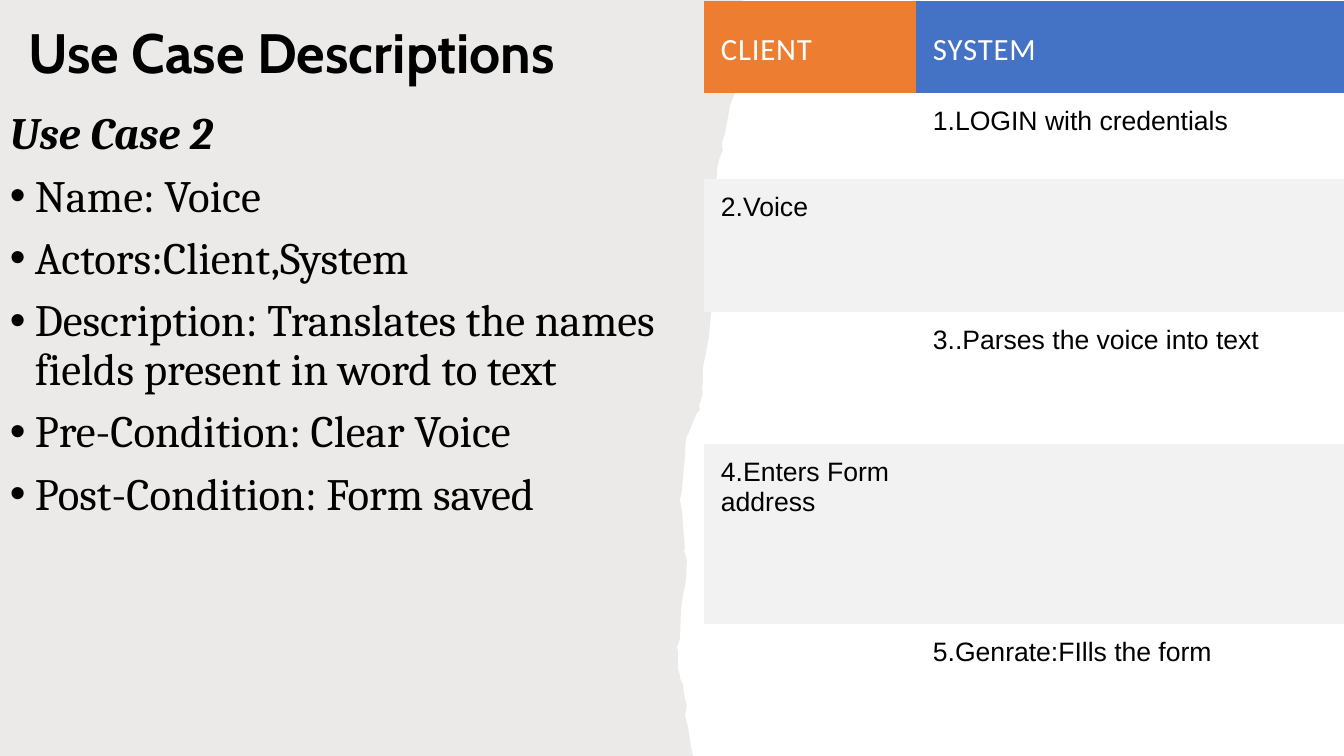
import pptx
import pptx.util
import pptx.dml.color
import pptx.enum.text
import pptx.oxml.ns
import lxml.etree

EMU_PER_PIXEL = 914400 / 100.8
LEFT = pptx.enum.text.PP_ALIGN.LEFT
MIDDLE = pptx.enum.text.MSO_ANCHOR.MIDDLE
TOP = pptx.enum.text.MSO_ANCHOR.TOP
NO_AUTOFIT = pptx.enum.text.MSO_AUTO_SIZE.NONE
NO_GRID_STYLE = "{2D5ABB26-0587-4C30-8999-92F81FD0307C}"

TORN_EDGE = [
    (743, 0), (743, 3), (741, 34), (742, 49), (739, 71), (738, 75), (735, 93),
    (730, 106), (727, 123), (726, 128), (725, 134), (722, 143), (722, 146),
    (723, 150), (720, 157), (717, 169), (717, 176), (715, 187), (717, 200),
    (716, 223), (716, 236), (714, 240), (713, 256), (713, 270), (712, 277),
    (714, 284), (711, 294), (713, 294), (711, 301), (712, 304), (709, 337),
    (703, 368), (703, 381), (702, 389), (703, 394), (700, 403), (699, 406),
    (700, 410), (697, 413), (689, 432), (686, 439), (685, 457), (683, 477),
    (682, 491), (680, 500), (682, 511), (683, 525), (685, 548), (684, 550),
    (687, 560), (686, 581), (683, 595), (681, 611), (680, 638), (678, 645),
    (677, 647), (678, 651), (678, 669), (680, 675), (680, 678), (683, 685),
    (684, 694), (687, 706), (685, 715), (688, 727), (691, 746), (693, 756),
]
USE_CASE_DETAILS = [
    "Name: Voice",
    "Actors:Client,System",
    "Description: Translates the names fields\u00a0present in word to text",
    "Pre-Condition: Clear Voice",
    "Post-Condition: Form saved",
]
STEPS = [
    ("CLIENT", "SYSTEM"),
    ("", "1.LOGIN with credentials"),
    ("2.Voice", ""),
    ("", "3..Parses the voice into text"),
    ("4.Enters Form address", ""),
    ("", "5.Genrate:FIlls the form"),
]
COLUMN_WIDTHS = [212, 433]
ROW_HEIGHTS = [92, 86, 133, 132, 180, 132]
HEADER_FILLS = ["ED7D31", "4472C4"]


def px(pixels):
    return pptx.util.Emu(round(pixels * EMU_PER_PIXEL))


def color(code):
    return pptx.dml.color.RGBColor.from_string(code)


def apply(target, formats):
    for key, value in formats.items():
        setattr(target, key, value)


def write(paragraph, text, size, font, ink="000000", **formats):
    run = paragraph.add_run()
    run.text = text
    apply(run.font, {"size": pptx.util.Pt(size), "name": font, **formats})
    run.font.color.rgb = color(ink)
    return run


def place(shape, box):
    apply(shape, dict(zip(("left", "top", "width", "height"), map(px, box))))


def add_torn_paper(slide, box):
    left, top, width, height = box
    builder = slide.shapes.build_freeform(0, 0, scale=EMU_PER_PIXEL)
    builder.add_line_segments(TORN_EDGE + [(0, height)], close=True)
    paper = builder.convert_to_shape(px(left), px(top))
    paper.shadow.inherit = False
    paper.line.fill.background()
    paper.fill.solid()
    paper.fill.fore_color.rgb = color("82766A")
    tint = next(paper.element.iter(pptx.oxml.ns.qn("a:srgbClr")))
    lxml.etree.SubElement(tint, pptx.oxml.ns.qn("a:alpha"), val="15000")
    slide.shapes.title.element.addprevious(paper.element)


def add_heading(slide, box):
    heading = slide.shapes.title
    place(heading, box)
    apply(heading.text_frame, {"word_wrap": True, "auto_size": NO_AUTOFIT,
                               "vertical_anchor": MIDDLE})
    line = heading.text_frame.paragraphs[0]
    apply(line, {"alignment": LEFT, "line_spacing": 0.9})
    write(line, "Use Case Descriptions", 39.6, "Cabin", bold=True)


def add_use_case(slide, box):
    frame = slide.shapes.add_textbox(*map(px, box)).text_frame
    apply(frame, {"word_wrap": True, "auto_size": NO_AUTOFIT})
    spacing = {"line_spacing": 0.9, "space_before": pptx.util.Pt(10)}
    name = frame.paragraphs[0]
    apply(name, spacing)
    write(name, "Use Case 2", 32, "Cambria", bold=True, italic=True)
    for detail in USE_CASE_DETAILS:
        item = frame.add_paragraph()
        apply(item, spacing)
        write(item, detail, 32, "Cambria")
        properties = item._p.get_or_add_pPr()
        properties.set("marL", str(px(25)))
        properties.set("indent", str(px(-25)))
        for tag, key, value in (("a:buFont", "typeface", "Arial"),
                                ("a:buChar", "char", "\u2022")):
            lxml.etree.SubElement(properties, pptx.oxml.ns.qn(tag)).set(key, value)


def fill_cell(cell, fill):
    if fill:
        cell.fill.solid()
        cell.fill.fore_color.rgb = color(fill)
    else:
        cell.fill.background()


def add_steps(slide, box):
    frame = slide.shapes.add_table(len(STEPS), len(COLUMN_WIDTHS), *map(px, box))
    steps = frame.table
    apply(steps, {"first_row": False, "horz_banding": False})
    next(frame.element.iter(pptx.oxml.ns.qn("a:tableStyleId"))).text = NO_GRID_STYLE
    for column, width in zip(steps.columns, COLUMN_WIDTHS):
        column.width = px(width)
    for index, (row, height) in enumerate(zip(steps.rows, ROW_HEIGHTS)):
        row.height = px(height)
        header = index == 0
        band = "F2F2F2" if index % 2 == 0 else None
        for cell, text, header_fill in zip(row.cells, STEPS[index], HEADER_FILLS):
            fill_cell(cell, header_fill if header else band)
            apply(cell, {"margin_left": px(17), "margin_right": px(17),
                         "margin_top": px(14), "margin_bottom": px(8),
                         "vertical_anchor": MIDDLE if header else TOP})
            line = cell.text_frame.paragraphs[0]
            if header:
                label = write(line, text, 22, "Calibri", "FFFFFF")
                label.font._element.set("spc", "60")
            elif text:
                write(line, text, 19, "Arial")


def build():
    deck = pptx.Presentation()
    apply(deck, {"slide_width": px(1344), "slide_height": px(756)})
    slide = deck.slides.add_slide(deck.slide_layouts.get_by_name("Title Only"))
    add_torn_paper(slide, (0, 0, 743, 756))
    add_heading(slide, (18, 0, 641, 112))
    add_use_case(slide, (0, 106, 676, 607))
    add_steps(slide, (704, 1, sum(COLUMN_WIDTHS), sum(ROW_HEIGHTS)))
    deck.save("out.pptx")


build()
